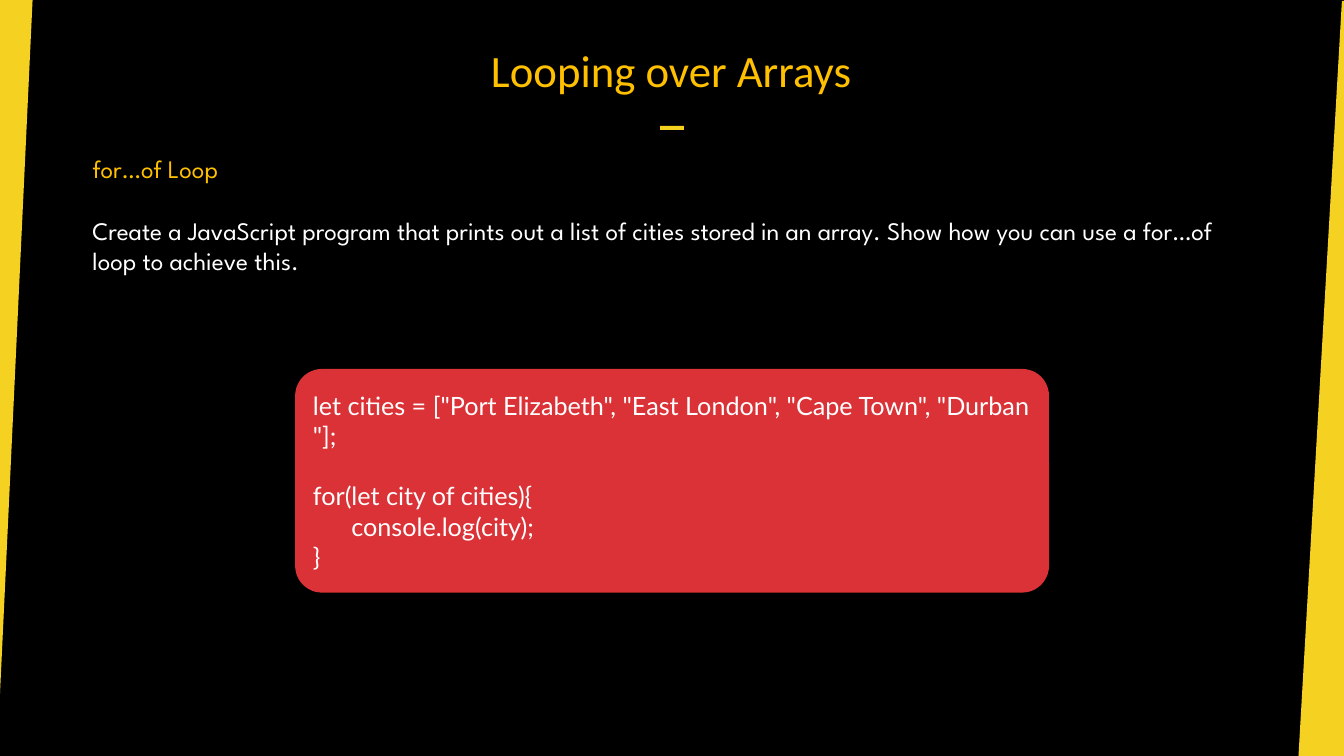
from pptx import Presentation
from pptx.dml.color import RGBColor
from pptx.enum import shapes, text
from pptx.util import Pt

COLOURS = {
    "background": "000000",
    "accent": "F5D121",
    "heading": "FFC000",
    "body": "FFFFFF",
    "code": "DA3236",
}
WIDTH, HEIGHT = 960, 540
NO_BREAK_SPACE = chr(160)
CODE_LINES = [
    ('let cities = ["Port Elizabeth", "East London", "Cape Town", "Durban"];', 0, 0),
    ("for(let city of cities){", 21.5, 0),
    ("console.log(city);", 0, 27.4),
    ("}", 0, 0),
]


def paint(fill, colour):
    """Give a fill one solid colour."""
    fill.solid()
    fill.fore_color.rgb = RGBColor.from_string(COLOURS[colour])


def finish(shape, colour):
    """Make a shape flat, with a plain fill and no outline."""
    shape.shadow.inherit = False
    paint(shape.fill, colour)
    shape.line.fill.background()


def set_font(para, size, name, colour):
    """Set the font of a whole paragraph."""
    para.font.size = Pt(size)
    para.font.name = name
    para.font.color.rgb = RGBColor.from_string(COLOURS[colour])


def add_edge(page, corners):
    """Draw a slanted edge strip through its corners."""
    points = [(Pt(x), Pt(y)) for x, y in corners]
    builder = page.shapes.build_freeform(*points[0], scale=1.0)
    builder.add_line_segments(points[1:], close=True)
    finish(builder.convert_to_shape(), "accent")


def add_block(page, kind, left, top, width, height, colour):
    """Add a filled preset shape."""
    shape = page.shapes.add_shape(kind, Pt(left), Pt(top), Pt(width), Pt(height))
    finish(shape, colour)
    return shape


def add_text(page, wording, left, top, width, height, size, name, colour, wrap=True):
    """Add a text box with one paragraph."""
    box = page.shapes.add_textbox(Pt(left), Pt(top), Pt(width), Pt(height))
    box.text_frame.word_wrap = wrap
    para = box.text_frame.paragraphs[0]
    para.text = wording
    set_font(para, size, name, colour)
    return box


def add_title(page, wording):
    """Add the centred title and the short dash below it."""
    frame = add_text(page, wording, 151, 15, 657, 54, 32, "Calibri", "heading").text_frame
    frame.vertical_anchor = text.MSO_ANCHOR.BOTTOM
    frame.margin_top, frame.margin_bottom = Pt(3), Pt(0)
    frame.paragraphs[0].alignment = text.PP_ALIGN.CENTER
    add_block(page, shapes.MSO_SHAPE.RECTANGLE, 471.5, 90, 17, 2.9, "accent")


def add_code(page, lines):
    """Add the rounded panel with one paragraph per line of code."""
    panel = add_block(page, shapes.MSO_SHAPE.ROUNDED_RECTANGLE, 210.8, 263.5, 538.5, 159.8, "code")
    panel.adjustments[0] = 0.12
    frame = panel.text_frame
    frame.word_wrap = True
    frame.vertical_anchor = text.MSO_ANCHOR.MIDDLE
    for number, (line, gap, indent) in enumerate(lines):
        para = frame.add_paragraph() if number else frame.paragraphs[0]
        para.text = line.replace(" ", NO_BREAK_SPACE)
        para.alignment = text.PP_ALIGN.LEFT
        para.space_before = Pt(gap)
        para._p.get_or_add_pPr().set("marL", str(Pt(indent)))
        set_font(para, 18, "Lato", "body")


def main():
    """Build the slide and save it."""
    deck = Presentation()
    deck.slide_width, deck.slide_height = Pt(WIDTH), Pt(HEIGHT)
    page = deck.slides.add_slide(deck.slide_layouts[6])
    paint(page.background.fill, "background")
    add_edge(page, [(0, 0), (23.3, 0), (0, 496)])
    add_edge(page, [(958.5, 0.7), (WIDTH, 0.7), (WIDTH, HEIGHT), (927.5, HEIGHT)])
    add_title(page, "Looping over Arrays")
    add_text(page, "for…of Loop", 59, 106, 114.5, 29, 18, "League Spartan", "heading", wrap=False)
    add_text(
        page,
        "Create a JavaScript program that prints out a list of cities stored in an array. "
        "Show how you can use a for…of loop to achieve this.",
        59, 150, 847.5, 51, 18, "League Spartan", "body",
    )
    add_code(page, CODE_LINES)
    deck.save("out.pptx")


if __name__ == "__main__":
    main()
